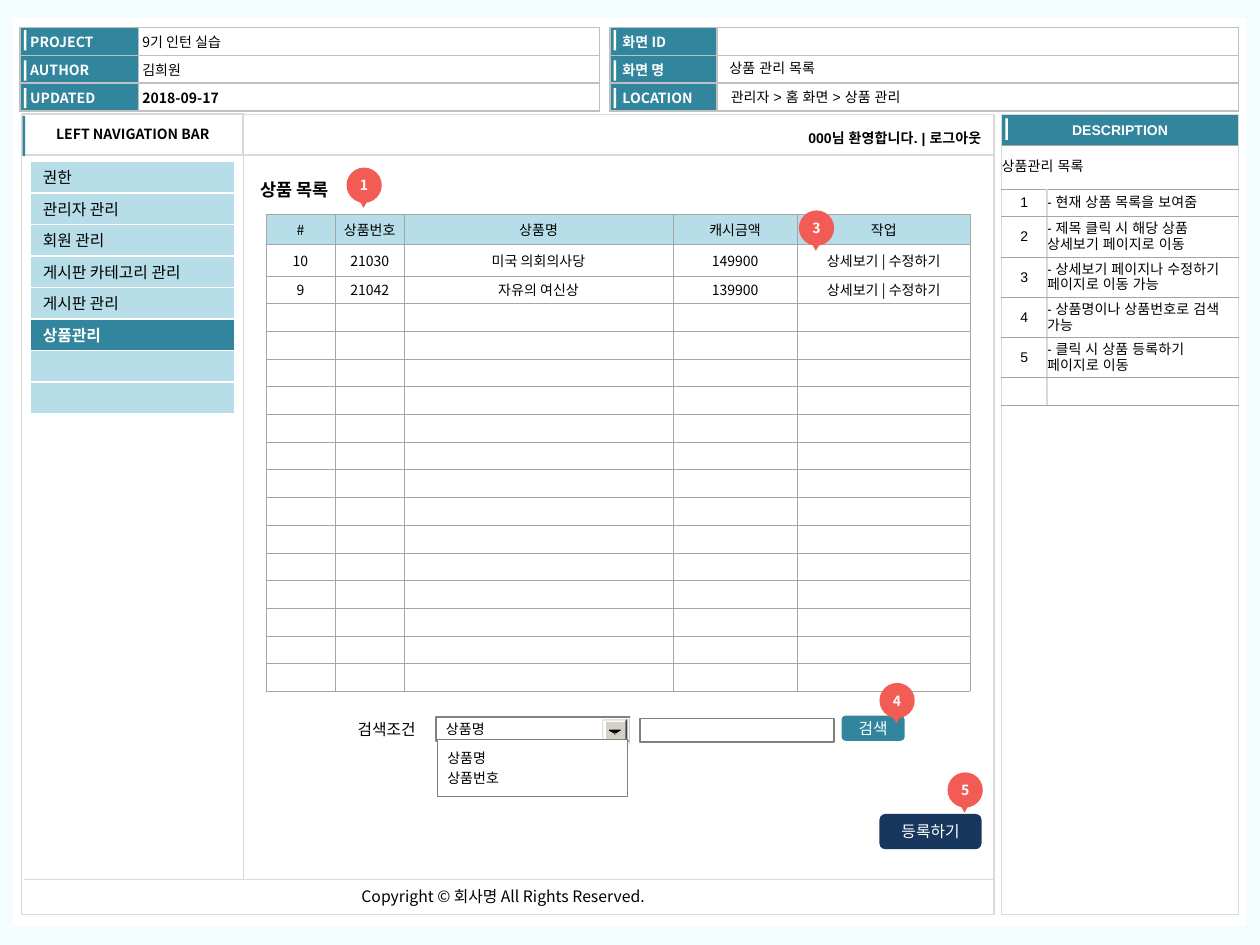
import pptx
import pptx.util
import pptx.dml.color
import pptx.enum.shapes
import pptx.enum.text
import pptx.oxml.ns
from lxml import etree

Inches, Pt = pptx.util.Inches, pptx.util.Pt
SHAPE = pptx.enum.shapes.MSO_SHAPE
ALIGN = pptx.enum.text.PP_ALIGN
ANCHOR = pptx.enum.text.MSO_ANCHOR
qn = pptx.oxml.ns.qn

NOTO, ARIAL = "Noto Sans CJK KR", "Arial"
C = {"page": "F3FCFF", "white": "FFFFFF", "black": "000000", "teal": "31859C",
     "sky": "B7DEE8", "navy": "17375E", "coral": "F25C54", "rule": "D9D9D9",
     "silver": "C0C0C0", "mid": "A6A6A6", "gray": "808080", "dark": "404040",
     "button": "D4D0C8"}


def rgb(name):
    return pptx.dml.color.RGBColor.from_string(C[name])


def write(tf, text, size=8, font=NOTO, color="black", bold=False,
          align=ALIGN.LEFT, before=0):
    for i, line in enumerate(text.split("\n")):
        p = tf.paragraphs[0] if i == 0 else tf.add_paragraph()
        p.alignment = align
        p.space_before = Pt(before)
        r = p.add_run()
        r.text = line
        r.font.size, r.font.bold, r.font.name = Pt(size), bold, font
        r.font.color.rgb = rgb(color)
        etree.SubElement(r.font._element, qn("a:ea"), typeface=font)


def inset(obj, x, y):
    obj.margin_left = obj.margin_right = Inches(x)
    obj.margin_top = obj.margin_bottom = Inches(y)


def add_box(parent, x, y, w, h, fill=None, line=None, kind=SHAPE.RECTANGLE,
            text=None, pad=0, **style):
    sp = parent.shapes.add_shape(kind, Inches(x), Inches(y), Inches(w), Inches(h))
    sp.shadow.inherit = False
    if fill:
        sp.fill.solid()
        sp.fill.fore_color.rgb = rgb(fill)
    else:
        sp.fill.background()
    if line:
        sp.line.color.rgb = rgb(line)
        sp.line.width = Pt(0.75)
    else:
        sp.line.fill.background()
    if text:
        tf = sp.text_frame
        tf.word_wrap = True
        tf.vertical_anchor = ANCHOR.MIDDLE
        inset(tf, pad, 0)
        write(tf, text, **{"align": ALIGN.CENTER, **style})
    return sp


def add_text(s, x, y, w, h, text, pad=(0.1, 0.05), wrap=True, **style):
    tf = s.shapes.add_textbox(Inches(x), Inches(y), Inches(w), Inches(h)).text_frame
    tf.word_wrap = wrap
    inset(tf, *pad)
    write(tf, text, **style)


def add_rule(s, x1, y1, x2, y2, width=1):
    ln = s.shapes.add_connector(pptx.enum.shapes.MSO_CONNECTOR.STRAIGHT,
                                Inches(x1), Inches(y1), Inches(x2), Inches(y2))
    ln.line.color.rgb = rgb("rule")
    ln.line.width = Pt(width)
    etree.SubElement(ln._element.spPr, qn("a:effectLst"))


def set_borders(cell, across, down):
    """Border the top and bottom with across, the left and right with down."""
    tcPr = cell._tc.get_or_add_tcPr()
    for i, (side, (color, width)) in enumerate(
            zip(("lnL", "lnR", "lnT", "lnB"), (down, down, across, across))):
        ln = etree.Element(qn("a:" + side), w=str(Pt(width)))
        fill = etree.SubElement(ln, qn("a:solidFill"))
        etree.SubElement(fill, qn("a:srgbClr"), val=C[color])
        tcPr.insert(i, ln)


def add_table(s, x, y, cols, rows, across, down=None):
    t = s.shapes.add_table(len(rows), len(cols), Inches(x), Inches(y),
                           Inches(sum(cols)), Inches(sum(rows))).table
    t.first_row = t.horz_banding = False
    for col, w in zip(t.columns, cols):
        col.width = Inches(w)
    for row, h in zip(t.rows, rows):
        row.height = Inches(h)
        for cell in row.cells:
            set_borders(cell, across, down or across)
    return t


def fill_cell(cell, text="", fill=None, pad=0, **style):
    inset(cell, pad, 0)
    cell.vertical_anchor = ANCHOR.MIDDLE
    if fill:
        cell.fill.solid()
        cell.fill.fore_color.rgb = rgb(fill)
    else:
        cell.fill.background()
    if text:
        write(cell.text_frame, text, **style)
    else:
        etree.SubElement(cell.text_frame.paragraphs[0]._p, qn("a:endParaRPr"), sz="800")


def add_info(s, x, cols, pad, items):
    t = add_table(s, x, 0.22, cols, [0.22] * 3, ("silver", 1))
    for i, (label, value, bold) in enumerate(items):
        fill_cell(t.cell(i, 0), label, "teal", pad, color="white", bold=True)
        fill_cell(t.cell(i, 1), value, "white", 0.03, bold=bold)
    for y in (0.24, 0.48, 0.7):
        add_box(s, x + 0.03, y, 0.02, 0.16, "white")


def add_marker(s, x, y, number):
    g = s.shapes.add_group_shape()
    add_box(g, x, y, 0.28, 0.28, "coral", kind=SHAPE.OVAL, text=number,
            color="white", bold=True)
    tip = add_box(g, x + 0.09, y + 0.24, 0.09, 0.08, "coral",
                  kind=SHAPE.ISOSCELES_TRIANGLE)
    tip.rotation = 180


def add_header(s):
    add_info(s, 0.16, [0.94, 3.66], 0.08, [("PROJECT", "9기 인턴 실습", False),
             ("AUTHOR", "김희원", False), ("UPDATED", "2018-09-17", True)])
    add_info(s, 4.84, [0.85, 4.14], 0.1, [("화면 ID", "", False),
             ("화면 명", "", False), ("LOCATION", "", False)])
    add_text(s, 5.72, 0.66, 2.9, 0.2, "관리자 > 홈 화면 > 상품 관리", (0.08, 0.04), font=ARIAL)
    add_text(s, 5.71, 0.43, 2.9, 0.2, "상품 관리 목록", (0.08, 0.04), font=ARIAL)


def add_description(s):
    panel = add_table(s, 7.95, 0.91, [1.88], [0.25, 6.1], ("rule", 1))
    fill_cell(panel.cell(0, 0), "DESCRIPTION", "teal", font=ARIAL, color="white",
              bold=True, align=ALIGN.CENTER)
    fill_cell(panel.cell(1, 0), fill="white")
    add_box(s, 7.98, 0.94, 0.02, 0.17, "white")
    notes = ["- 현재 상품 목록을 보여줌", "- 제목 클릭 시 해당 상품 상세보기 페이지로 이동",
             "- 상세보기 페이지나 수정하기 페이지로 이동 가능",
             "- 상품명이나 상품번호로 검색 가능", "- 클릭 시 상품 등록하기 페이지로 이동", ""]
    t = add_table(s, 7.95, 1.15, [0.36, 1.52], [0.35, 0.22] + [0.32] * 4 + [0.22],
                  ("mid", 0.5), ("rule", 1))
    t.cell(0, 0).merge(t.cell(0, 1))
    fill_cell(t.cell(0, 0), "상품관리 목록", "white", font=ARIAL)
    for i, note in enumerate(notes, 1):
        fill_cell(t.cell(i, 0), str(i) if note else "", "white", font=ARIAL,
                  align=ALIGN.CENTER)
        fill_cell(t.cell(i, 1), note, "white", font=ARIAL)


def add_frame(s):
    add_box(s, 0.17, 0.91, 7.72, 6.35, line="rule")
    add_rule(s, 0.19, 6.98, 7.89, 6.98)
    add_text(s, 2.77, 6.99, 2.52, 0.25, "Copyright © 회사명 All Rights Reserved.",
             wrap=False, size=9)
    add_box(s, 0.18, 0.9, 1.75, 0.33, line="rule", text="LEFT NAVIGATION BAR", bold=True)
    add_box(s, 0.18, 0.92, 0.02, 0.32, "teal")
    add_rule(s, 1.93, 0.91, 1.93, 6.98, 0.75)
    add_rule(s, 1.93, 1.23, 7.89, 1.23)
    add_text(s, 5.29, 0.99, 2.58, 0.22, "000님 환영합니다. | 로그아웃", (0.08, 0.04),
             font=ARIAL, bold=True, align=ALIGN.RIGHT)


def add_navigation(s):
    items = ["권한", "관리자 관리", "회원 관리", "게시판 카테고리 관리", "게시판 관리",
             "상품관리", "", ""]
    t = add_table(s, 0.24, 1.28, [1.62], [0.25] * len(items), ("white", 1))
    for i, item in enumerate(items):
        on = item == "상품관리"
        fill_cell(t.cell(i, 0), item, "teal" if on else "sky", 0.1, size=9,
                  color="white" if on else "black", bold=on)


def add_products(s):
    add_text(s, 1.97, 1.37, 0.81, 0.27, "상품 목록", wrap=False, size=10, bold=True)
    data = [["#", "상품번호", "상품명", "캐시금액", "작업"],
            ["10", "21030", "미국 의회의사당", "149900", "상세보기 | 수정하기"],
            ["9", "21042", "자유의 여신상", "139900", "상세보기 | 수정하기"]]
    data += [[""] * 5] * 14
    t = add_table(s, 2.11, 1.7, [0.55, 0.55, 2.13, 0.99, 1.37],
                  [0.24, 0.25] + [0.22] * 15, ("mid", 0.25))
    for i, row in enumerate(data):
        for j, value in enumerate(row):
            fill_cell(t.cell(i, j), value, None if i else "sky", align=ALIGN.CENTER)


def add_search(s):
    add_text(s, 2.74, 5.66, 0.71, 0.25, "검색조건", wrap=False, size=9)
    add_box(s, 5.08, 5.7, 1.54, 0.19, "white", "gray")
    add_box(s, 6.68, 5.68, 0.5, 0.2, "teal", kind=SHAPE.ROUNDED_RECTANGLE,
            text="검색", size=9, color="white")
    add_box(s, 3.46, 5.69, 1.54, 0.19, "white", "gray", text="상품명", pad=0.08,
            align=ALIGN.LEFT)
    # Drop-down button: bevelled edges, face, then an arrow of narrowing bars
    g = s.shapes.add_group_shape()
    for x, y, w, h, fill in [
            (5, 5.69, 0.01, 0.24, "white"), (4.99, 5.7, 0.01, 0.21, "button"),
            (4.97, 5.71, 0.01, 0.19, "dark"), (4.78, 5.89, 0.19, 0.01, "dark"),
            (4.78, 5.71, 0.01, 0.18, "button"), (4.79, 5.71, 0.18, 0.01, "button"),
            (4.96, 5.72, 0.01, 0.17, "gray"), (4.79, 5.88, 0.17, 0.01, "gray"),
            (4.79, 5.72, 0.01, 0.16, "white"), (4.81, 5.72, 0.15, 0.01, "white"),
            (4.81, 5.73, 0.15, 0.15, "button")]:
        add_box(g, x, y, w, h, fill)
    for i, w in enumerate((0.09, 0.07, 0.04, 0.01)):
        add_box(g, 4.88 - w / 2, 5.79 + 0.01 * i, w, 0.01, "black")
    add_box(s, 3.47, 5.87, 1.51, 0.45, "white", "gray", text="상품명\n상품번호",
            pad=0.08, align=ALIGN.LEFT, before=2)


def main():
    prs = pptx.Presentation()
    prs.slide_width, prs.slide_height = Inches(10), Inches(7.5)
    s = prs.slides.add_slide(prs.slide_layouts[6])
    s.background.fill.solid()
    s.background.fill.fore_color.rgb = rgb("page")
    add_box(s, 0.1, 0.14, 9.79, 7.21, "white")
    add_header(s)
    add_frame(s)
    add_description(s)
    add_navigation(s)
    add_products(s)
    add_search(s)
    add_box(s, 6.98, 6.46, 0.81, 0.28, "navy", kind=SHAPE.ROUNDED_RECTANGLE,
            text="등록하기", size=9, color="white")
    # Numbered markers that point at the described parts
    for x, y, number in [(2.75, 1.33, "1"), (6.34, 1.67, "3"), (6.98, 5.42, "4"),
                         (7.52, 6.13, "5")]:
        add_marker(s, x, y, number)
    prs.save("out.pptx")


if __name__ == "__main__":
    main()
